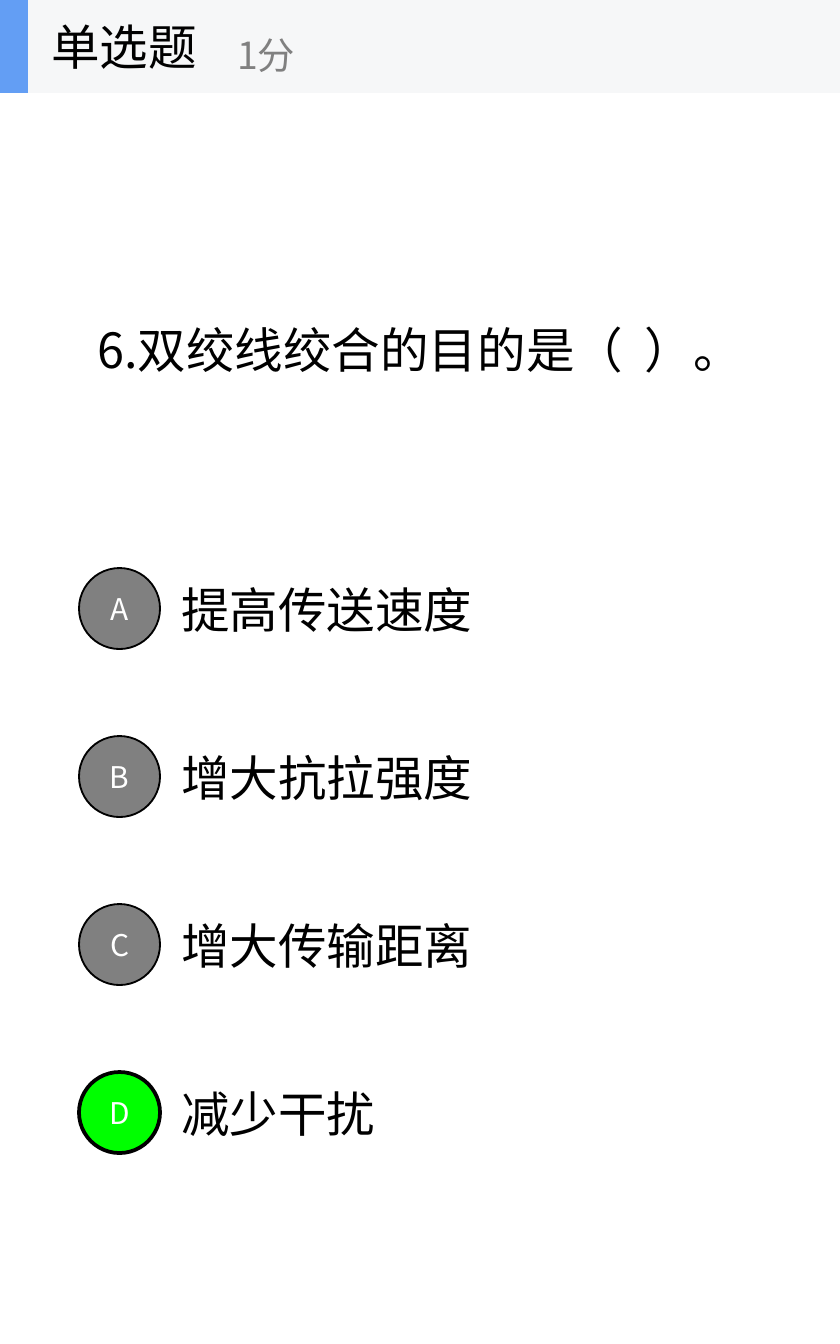
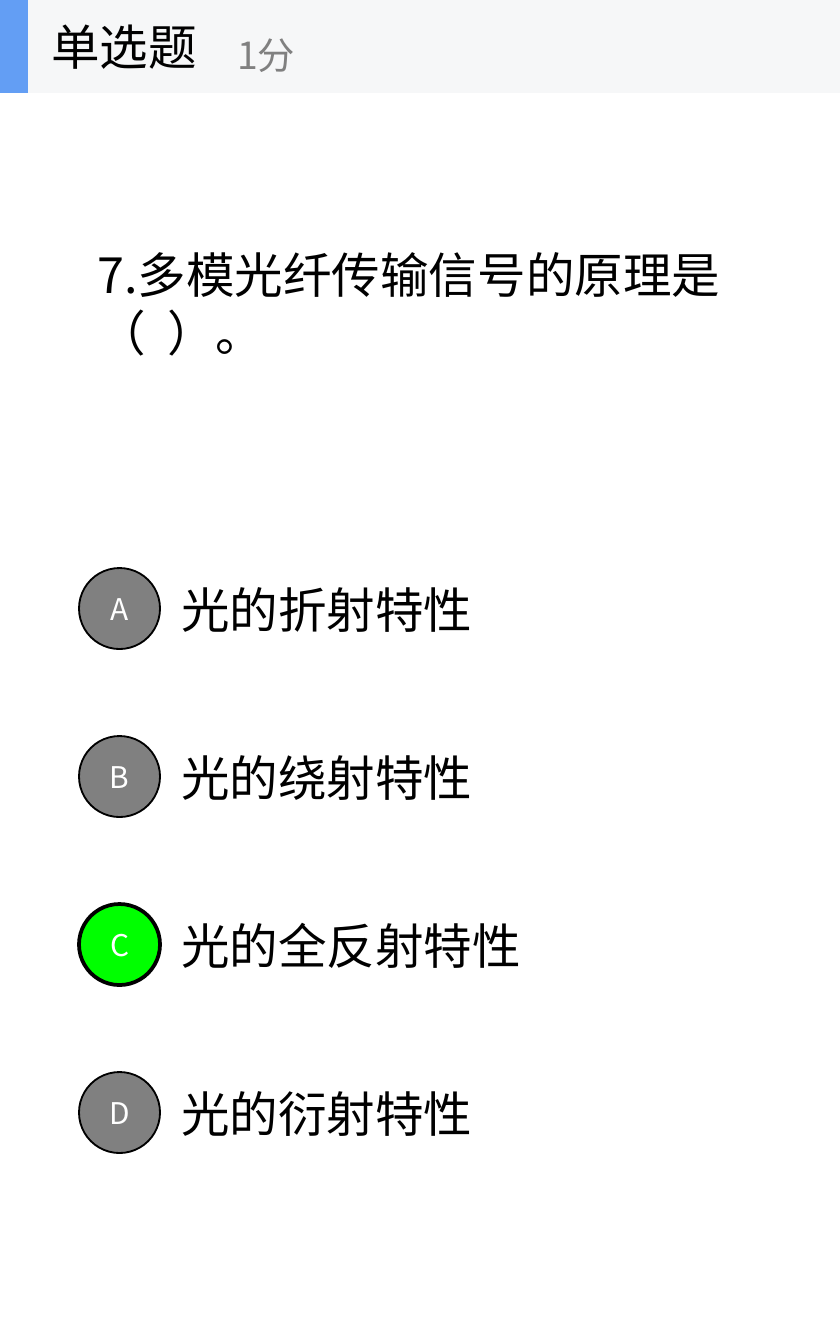
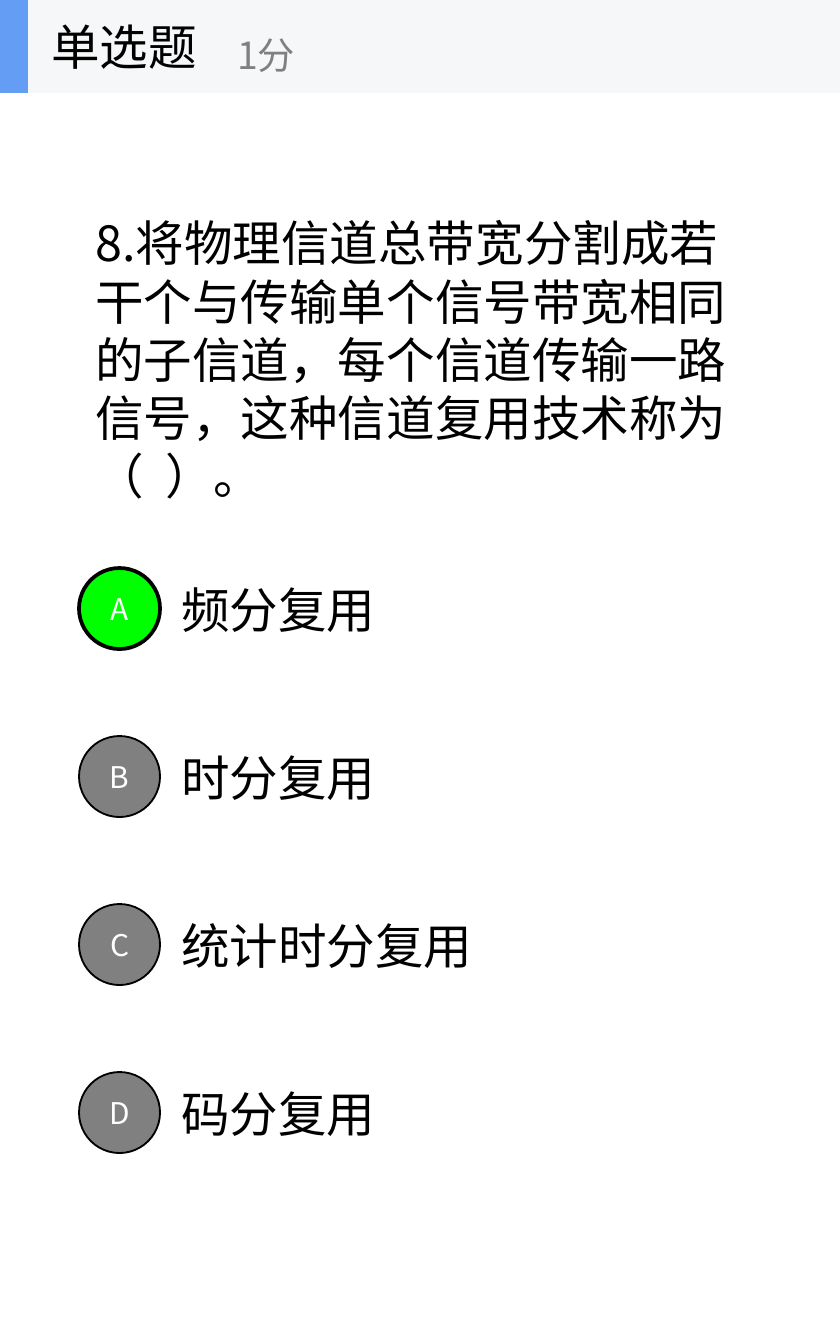
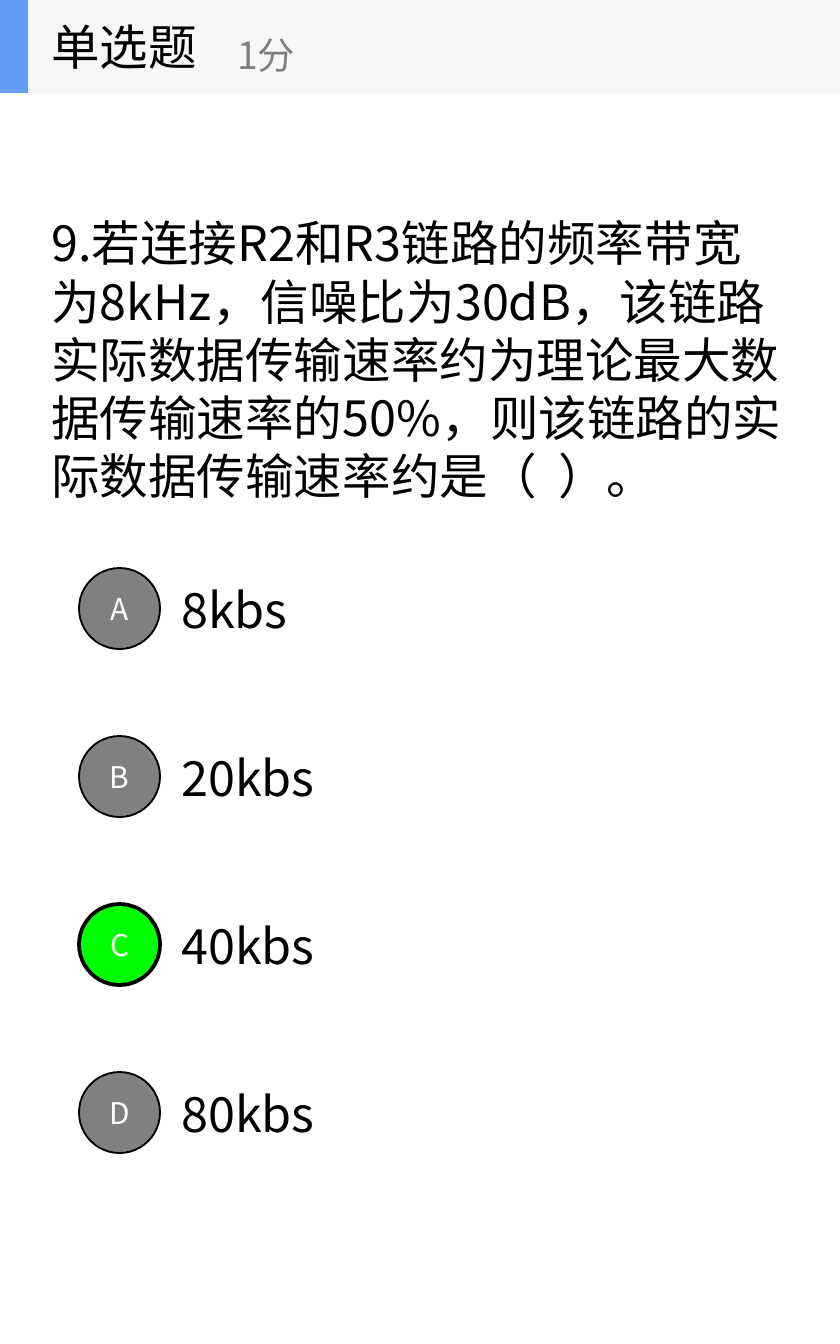
import pptx
import pptx.dml.color
import pptx.enum.shapes
import pptx.enum.text
import pptx.oxml.ns
import pptx.util
from dataclasses import dataclass
from typing import Any, NamedTuple

from lxml import etree

# Shared look
EMU_PER_PIXEL = 914400 / 134.4
FONT = "Noto Sans CJK SC"
COLORS = {
    "text": "000000",
    "muted": "808080",
    "letter": "FFFFFF",
    "correct": "00FF00",
    "band": "F6F7F8",
    "accent": "639EF4",
}
BODY_SIZE, SCORE_SIZE, LETTER_SIZE = 26, 20, 16

SHAPE = pptx.enum.shapes.MSO_SHAPE
ALIGN = pptx.enum.text.PP_ALIGN


class Box(NamedTuple):
    left: int
    top: int
    width: int
    height: int

    def emu(self) -> list[int]:
        return [px(v) for v in self]


@dataclass
class Question:
    text: str
    box: Box
    options: list[str]
    answer: str


# Layout in pixels
SLIDE_WIDTH, SLIDE_HEIGHT = 840, 1344
HEADER_HEIGHT = 93
FIRST_OPTION = Box(168, 546, 588, 126)
OPTION_PITCH = 168
CIRCLE_LEFT, CIRCLE_SIZE = 79, 81

QUESTIONS = [
    Question("6.双绞线绞合的目的是（  ）。", Box(84, 185, 672, 328),
             ["提高传送速度", "增大抗拉强度", "增大传输距离", "减少干扰"], "D"),
    Question("7.多模光纤传输信号的原理是（  ）。", Box(84, 93, 672, 420),
             ["光的折射特性", "光的绕射特性", "光的全反射特性", "光的衍射特性"], "C"),
    Question("8.将物理信道总带宽分割成若干个与传输单个信号带宽相同的子信道，"
             "每个信道传输一路信号，这种信道复用技术称为（  ）。",
             Box(82, 149, 672, 420),
             ["频分复用", "时分复用", "统计时分复用", "码分复用"], "A"),
    Question("9.若连接R2和R3链路的频率带宽为8kHz，信噪比为30dB，"
             "该链路实际数据传输速率约为理论最大数据传输速率的50%，"
             "则该链路的实际数据传输速率约是（  ）。",
             Box(38, 149, 763, 420),
             ["8kbs", "20kbs", "40kbs", "80kbs"], "C"),
]


def px(value: float) -> int:
    return round(value * EMU_PER_PIXEL)


def rgb(name: str) -> pptx.dml.color.RGBColor:
    return pptx.dml.color.RGBColor.from_string(COLORS[name])


def set_text(sp: Any, text: str, size: int, color: str,
             align: Any = ALIGN.LEFT, wrap: bool = True) -> None:
    tf = sp.text_frame
    tf.word_wrap = wrap
    tf.vertical_anchor = pptx.enum.text.MSO_ANCHOR.MIDDLE
    p = tf.paragraphs[0]
    p.text = text
    p.alignment = align
    p.font.name = FONT
    p.font.size = pptx.util.Pt(size)
    p.font.color.rgb = rgb(color)
    # East Asian characters take their own typeface
    latin = p._p.pPr.find(".//" + pptx.oxml.ns.qn("a:latin"))
    ea = etree.Element(pptx.oxml.ns.qn("a:ea"), typeface=FONT)
    latin.addnext(ea)


def add_text(shapes: Any, box: Box, text: str, size: int = BODY_SIZE,
             color: str = "text", wrap: bool = True) -> None:
    set_text(shapes.add_textbox(*box.emu()), text, size, color, wrap=wrap)


def add_filled(shapes: Any, kind: Any, box: Box, fill: str, line_width: int = 0) -> Any:
    sp = shapes.add_shape(kind, *box.emu())
    sp.shadow.inherit = False
    sp.fill.solid()
    sp.fill.fore_color.rgb = rgb(fill)
    if line_width:
        sp.line.color.rgb = rgb("text")
        sp.line.width = pptx.util.Pt(line_width)
    else:
        sp.line.fill.background()
    return sp


def add_header(slide: Any) -> None:
    shapes = slide.shapes.add_group_shape().shapes
    add_filled(shapes, SHAPE.RECTANGLE, Box(0, 0, SLIDE_WIDTH, HEADER_HEIGHT), "band")
    add_filled(shapes, SHAPE.RECTANGLE, Box(0, 0, 28, HEADER_HEIGHT), "accent")
    add_text(shapes, Box(38, 0, 280, HEADER_HEIGHT), "单选题", wrap=False)
    add_text(shapes, Box(224, 17, 336, 76), "1分", SCORE_SIZE, "muted", wrap=False)


def add_options(slide: Any, question: Question) -> None:
    boxes = [FIRST_OPTION._replace(top=FIRST_OPTION.top + i * OPTION_PITCH)
             for i in range(len(question.options))]
    for box, option in zip(boxes, question.options):
        add_text(slide.shapes, box, option)
    # Letter circles, centred on their options
    for box, letter in zip(boxes, "ABCD"):
        correct = letter == question.answer
        top = box.top + (box.height - CIRCLE_SIZE) // 2
        sp = add_filled(slide.shapes, SHAPE.OVAL,
                        Box(CIRCLE_LEFT, top, CIRCLE_SIZE, CIRCLE_SIZE),
                        "correct" if correct else "muted", 2 if correct else 1)
        set_text(sp, letter, LETTER_SIZE, "letter", ALIGN.CENTER)


def add_question(prs: Any, question: Question) -> None:
    slide = prs.slides.add_slide(prs.slide_layouts[6])
    add_text(slide.shapes, question.box, question.text)
    add_options(slide, question)
    add_header(slide)


prs = pptx.Presentation()
prs.slide_width, prs.slide_height = px(SLIDE_WIDTH), px(SLIDE_HEIGHT)
for question in QUESTIONS:
    add_question(prs, question)
prs.save("out.pptx")
